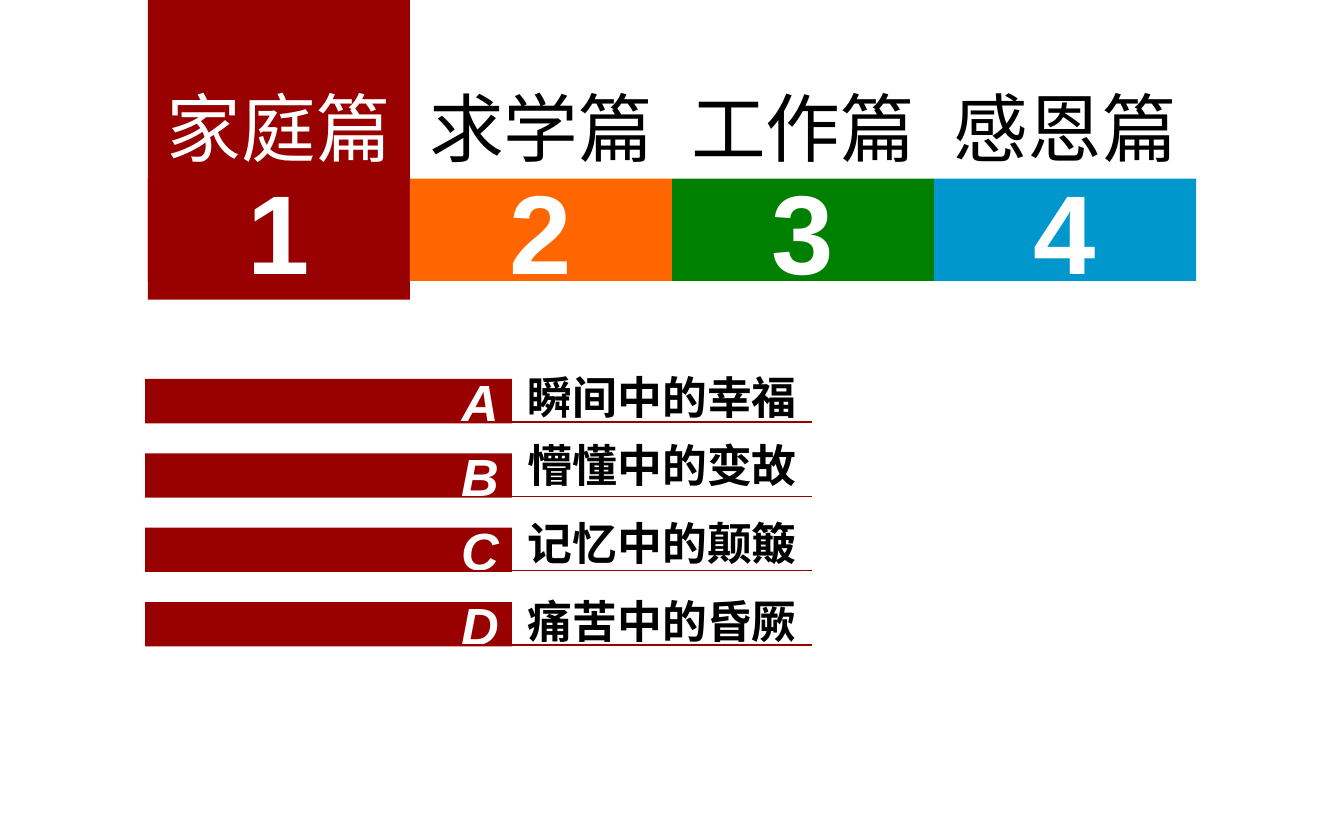
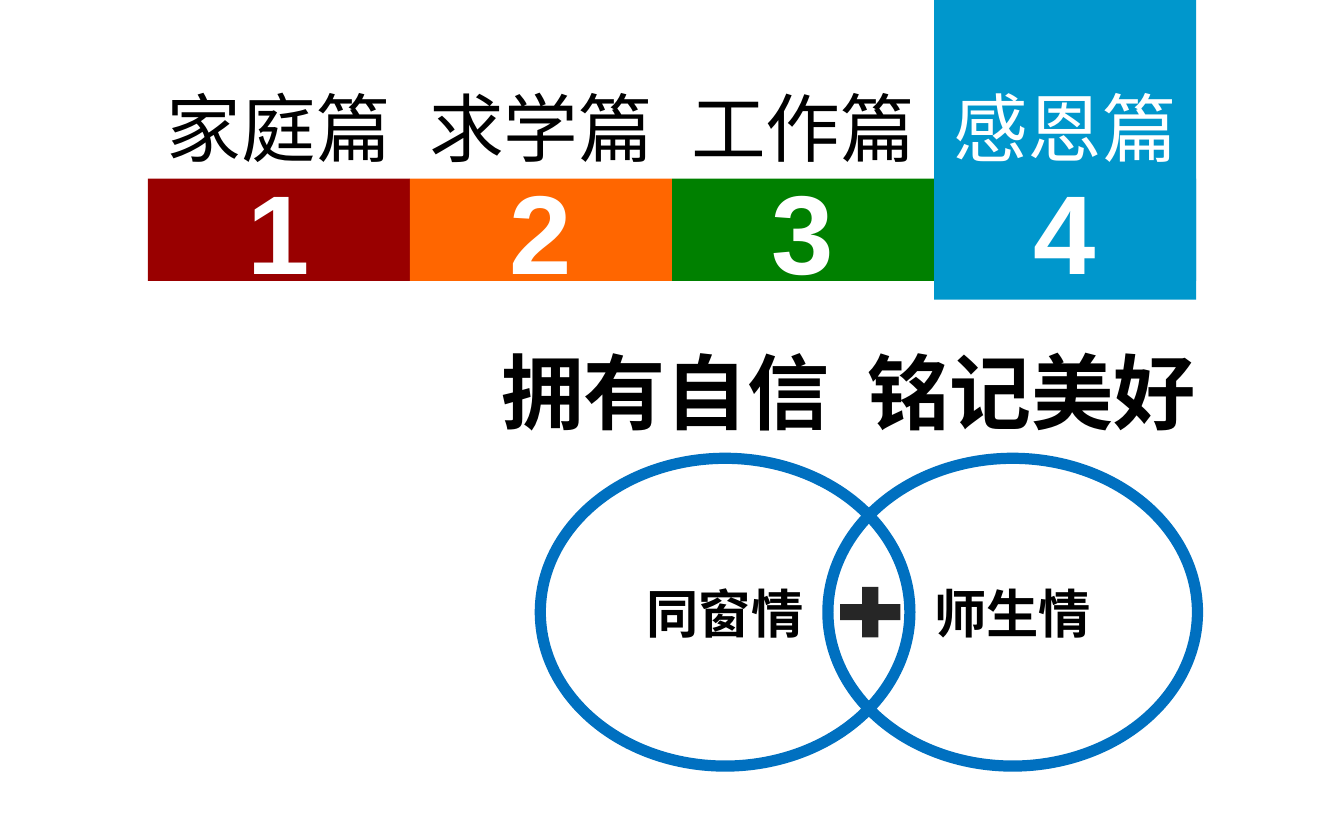
from lxml.etree import SubElement
from pptx import Presentation
from pptx.dml.color import RGBColor
from pptx.enum.shapes import MSO_CONNECTOR, MSO_SHAPE
from pptx.enum.text import MSO_ANCHOR, MSO_AUTO_SIZE, PP_ALIGN
from pptx.oxml.ns import qn
from pptx.util import Inches, Pt

# Shared colours and fonts
RED = RGBColor(0x99, 0x00, 0x00)
ORANGE = RGBColor(0xFF, 0x66, 0x00)
GREEN = RGBColor(0x00, 0x80, 0x00)
SKY = RGBColor(0x00, 0x97, 0xCC)
RING_BLUE = RGBColor(0x00, 0x70, 0xC0)
CHARCOAL = RGBColor(0x26, 0x26, 0x26)
BLACK = RGBColor(0x00, 0x00, 0x00)
WHITE = RGBColor(0xFF, 0xFF, 0xFF)
LATIN_FONT = "Arial"
CHINESE_FONT = "Noto Sans CJK SC"

# Chapter tabs shared by both slides
CHAPTERS = [("家庭篇", RED), ("求学篇", ORANGE), ("工作篇", GREEN), ("感恩篇", SKY)]
TAB_LEFT, TAB_WIDTH = 1.1, 1.95

# Family stories: letter, wording, top of the wording
STORIES = [
    ("A", "瞬间中的幸福", 2.7),
    ("B", "懵懂中的变故", 3.21),
    ("C", "记忆中的颠簸", 3.79),
    ("D", "痛苦中的昏厥", 4.37),
]
BAR_LEFT, BAR_TOP, BAR_WIDTH, BAR_HEIGHT = 1.08, 2.82, 2.73, 0.33
BAR_STEP = 1.66 / 3


def write(frame, text, size, font=CHINESE_FONT, color=BLACK, bold=False,
          italic=False, align=PP_ALIGN.CENTER):
    paragraph = frame.paragraphs[0]
    paragraph.alignment = align
    run = paragraph.add_run()
    run.text = text
    style = run.font
    style.size, style.bold, style.italic = Pt(size), bold, italic
    style.color.rgb = color
    style.name = font
    SubElement(run._r.get_or_add_rPr(), qn("a:ea"), typeface=font)


def add_label(slide, box, text, size, **style):
    label = slide.shapes.add_textbox(*map(Inches, box))
    frame = label.text_frame
    frame.word_wrap = False
    frame.auto_size = MSO_AUTO_SIZE.SHAPE_TO_FIT_TEXT
    write(frame, text, size, **style)


def add_figure(slide, kind, box, fill=None, outline=None, text=None, **style):
    figure = slide.shapes.add_shape(kind, *map(Inches, box))
    figure.shadow.inherit = False
    if fill is None:
        figure.fill.background()
    else:
        figure.fill.solid()
        figure.fill.fore_color.rgb = fill
    if outline is None:
        figure.line.fill.background()
    else:
        figure.line.color.rgb = outline
        figure.line.width = Pt(6)
    if text:
        frame = figure.text_frame
        frame.word_wrap = True
        frame.vertical_anchor = MSO_ANCHOR.MIDDLE
        write(frame, text, **style)


def add_underline(slide, left, top, width):
    underline = slide.shapes.add_connector(
        MSO_CONNECTOR.STRAIGHT, Inches(left), Inches(top),
        Inches(left + width), Inches(top))
    underline.line.color.rgb = RED
    underline.line.width = Pt(0.75)
    SubElement(underline._element.spPr, qn("a:effectLst"))


def add_chapter_panel(slide, active):
    """Tall panel behind the current chapter."""
    add_figure(slide, MSO_SHAPE.RECTANGLE,
               (TAB_LEFT + active * TAB_WIDTH, 0, TAB_WIDTH, 2.23),
               fill=CHAPTERS[active][1])


def add_chapter_tabs(slide, active):
    for index, (title, color) in enumerate(CHAPTERS):
        left = TAB_LEFT + index * TAB_WIDTH
        add_figure(slide, MSO_SHAPE.RECTANGLE, (left, 1.33, TAB_WIDTH, 0.76),
                   fill=color, text=str(index + 1), size=60, font=LATIN_FONT,
                   color=WHITE, bold=True)
        add_label(slide, (left + 0.03, 0.56, 1.89, 0.77), title, 40,
                  color=WHITE if index == active else BLACK)


def add_stories(slide):
    for index, (letter, story, story_top) in enumerate(STORIES):
        top = BAR_TOP + index * BAR_STEP
        add_label(slide, (3.83, story_top, 2.22, 0.51), story, 24,
                  bold=True, align=PP_ALIGN.LEFT)
        add_figure(slide, MSO_SHAPE.RECTANGLE,
                   (BAR_LEFT, top, BAR_WIDTH, BAR_HEIGHT), fill=RED,
                   text=letter, size=28, font=LATIN_FONT, color=WHITE,
                   bold=True, italic=True, align=PP_ALIGN.RIGHT)
        add_underline(slide, BAR_LEFT + 0.01, top + 0.32, 4.95)


def add_bonds(slide):
    """Headline over two overlapping rings joined by a plus sign."""
    add_label(slide, (3.24, 2.49, 5.76, 0.84), "拥有自信  铭记美好", 44,
              bold=True, align=PP_ALIGN.RIGHT)
    for left, bond in [(6.16, "师生情"), (4.02, "同窗情")]:
        add_figure(slide, MSO_SHAPE.OVAL, (left, 3.41, 2.75, 2.29),
                   outline=RING_BLUE, text=bond, size=28, bold=True)
    add_figure(slide, MSO_SHAPE.MATH_PLUS, (6.17, 4.3, 0.61, 0.51),
               fill=CHARCOAL)


def main():
    deck = Presentation()
    deck.slide_width, deck.slide_height = Inches(10), Inches(6.25)
    blank = deck.slide_layouts[6]

    # Each slide: its current chapter and its content
    for active, add_content in [(0, add_stories), (3, add_bonds)]:
        slide = deck.slides.add_slide(blank)
        add_chapter_panel(slide, active)
        add_content(slide)
        add_chapter_tabs(slide, active)

    deck.save("out.pptx")


if __name__ == "__main__":
    main()
